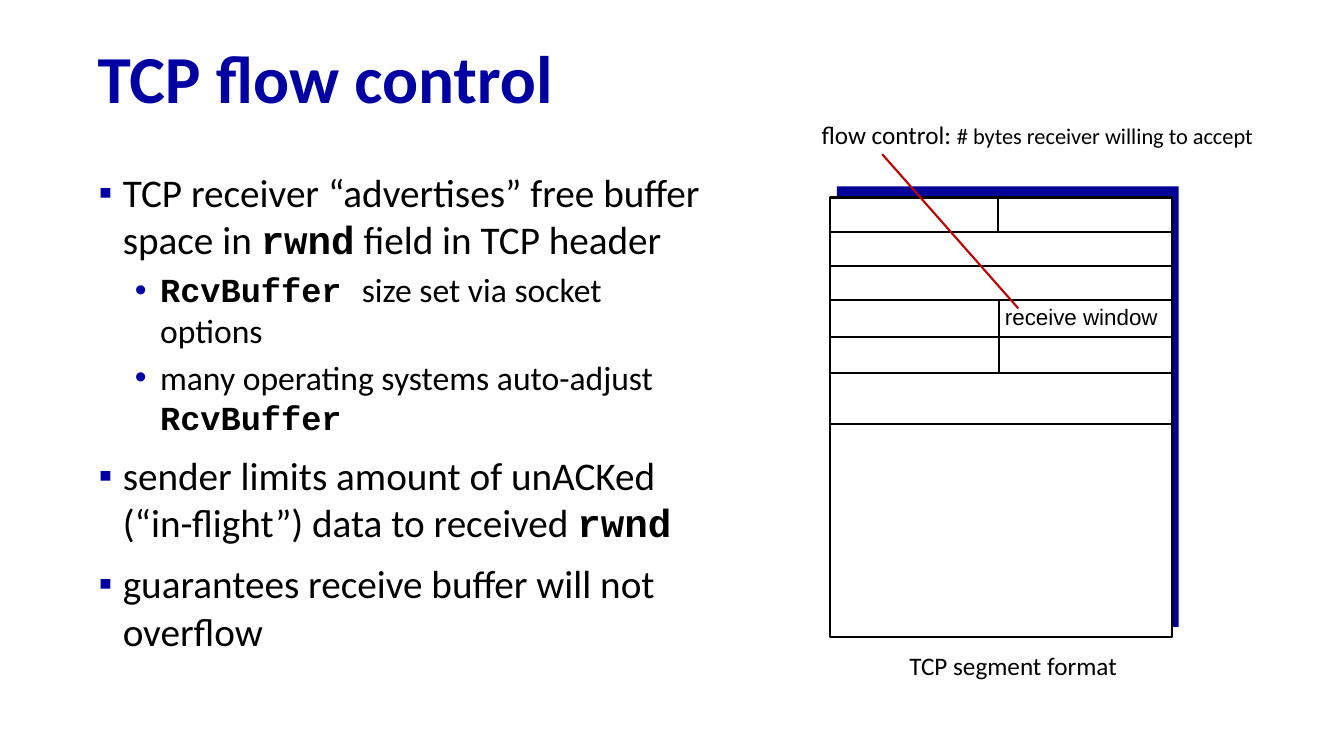
"""Build the slide on TCP flow control and its receive window field."""
from lxml import etree
from pptx import Presentation
from pptx.dml.color import RGBColor
from pptx.enum.shapes import MSO_CONNECTOR, MSO_SHAPE
from pptx.enum.text import MSO_ANCHOR, PP_ALIGN
from pptx.oxml.ns import qn
from pptx.util import Inches, Pt

RECT = MSO_SHAPE.RECTANGLE
LINE = MSO_CONNECTOR.STRAIGHT
TOP, MIDDLE = MSO_ANCHOR.TOP, MSO_ANCHOR.MIDDLE
LEFT, CENTER = PP_ALIGN.LEFT, PP_ALIGN.CENTER
BLACK, NAVY = "000000", "0000A3"


def tint(code):
    return RGBColor.from_string(code)


def write(at, paras, wrap=True, anchor=TOP, **style):
    frame = slide.shapes.add_textbox(*map(Inches, at)).text_frame
    frame.word_wrap = wrap
    frame.vertical_anchor = anchor
    for n, runs in enumerate(paras):
        para = frame.paragraphs[0] if n == 0 else frame.add_paragraph()
        for key, value in style.items():
            setattr(para, key, value)
        for text, size, name, bold, code in runs:
            run = para.add_run()
            run.text = text
            look = {"size": Pt(size), "name": name, "bold": bold}
            for key, value in look.items():
                setattr(run.font, key, value)
            run.font.color.rgb = tint(code)
    return frame


deck = Presentation()
deck.slide_width, deck.slide_height = Inches(13.33), Inches(7.5)
slide = deck.slides.add_slide(deck.slide_layouts[6])

write((0.87, 0.32, 12.46, 0.98),
      [[("TCP flow control", 48, "Calibri", True, NAVY)]],
      anchor=MIDDLE, line_spacing=0.9)

points = [
    (0, [("TCP receiver “advertises” free buffer space in ", False),
         ("rwnd", True), (" field in TCP header", False)]),
    (1, [("RcvBuffer ", True), ("size set via socket options", False)]),
    (1, [("many operating systems auto-adjust ", False), ("RcvBuffer", True)]),
    (0, [("sender limits amount of unACKed (“in-flight”) data to received ", False),
         ("rwnd", True)]),
    (0, [("guarantees receive buffer will not overflow", False)]),
]
levels = [
    {"size": 28, "left": 0.39, "hang": -0.24, "gap": 10, "mark": "▪", "code": NAVY},
    {"size": 24, "left": 0.76, "hang": -0.25, "gap": 5, "mark": "•", "code": "0000A8"},
]
paras = [[(text, levels[level]["size"], "Courier New" if mono else "Calibri", mono, BLACK)
          for text, mono in runs] for level, runs in points]
body = write((0.73, 1.62, 6.37, 5.37), paras)
for para, (level, runs) in zip(body.paragraphs, points):
    rule = levels[level]
    para.level = level
    para.space_before = Pt(rule["gap"])
    props = para._p.get_or_add_pPr()
    props.set("marL", str(Inches(rule["left"])))
    props.set("indent", str(Inches(rule["hang"])))
    color = etree.SubElement(props, qn("a:buClr"))
    etree.SubElement(color, qn("a:srgbClr"), val=rule["code"])
    etree.SubElement(props, qn("a:buFont"), typeface="Arial")
    etree.SubElement(props, qn("a:buChar"), char=rule["mark"])

write((8.05, 1.17, 4.76, 0.37),
      [[("flow control: ", 18, "Calibri", False, BLACK),
        ("# bytes receiver willing to accept", 16, "Calibri", False, BLACK)]],
      line_spacing=0.9)

left, mid, right, top = 8.23, 9.9, 11.62, 1.96
cards = [((8.3, 1.85, 3.39, 4.37), "000099", False),
         ((left, top, right - left, 4.36), "FFFFFF", True)]
for at, fill, edge in cards:
    card = slide.shapes.add_shape(RECT, *map(Inches, at))
    card.shadow.inherit = False
    card.fill.solid()
    card.fill.fore_color.rgb = tint(fill)
    if edge:
        card.line.color.rgb = tint(BLACK)
        card.line.width = Pt(1.5)
    else:
        card.line.fill.background()

rows = [2.3, 2.64, 2.98, 3.34, 3.7, 4.21]
lines = [(left, y, right, y, BLACK) for y in rows]
lines += [(mid, top, mid, rows[0], BLACK),
          (mid + 0.01, rows[2], mid + 0.01, rows[4], BLACK),
          (10.1, 3.06, 8.75, 1.53, "C00000")]
for *ends, code in lines:
    link = slide.shapes.add_connector(LINE, *map(Inches, ends))
    link.line.color.rgb = tint(code)
    link.line.width = Pt(1.5)
    etree.SubElement(link._element.spPr, qn("a:effectLst"))

write((9.86, 2.96, 1.73, 0.37),
      [[("receive window", 16, "Arial", False, BLACK)]],
      wrap=False, alignment=CENTER)
write((8.92, 6.44, 2.53, 0.37),
      [[("TCP segment format", 18, "Calibri", False, BLACK)]],
      alignment=LEFT, line_spacing=0.9)

deck.save("out.pptx")
